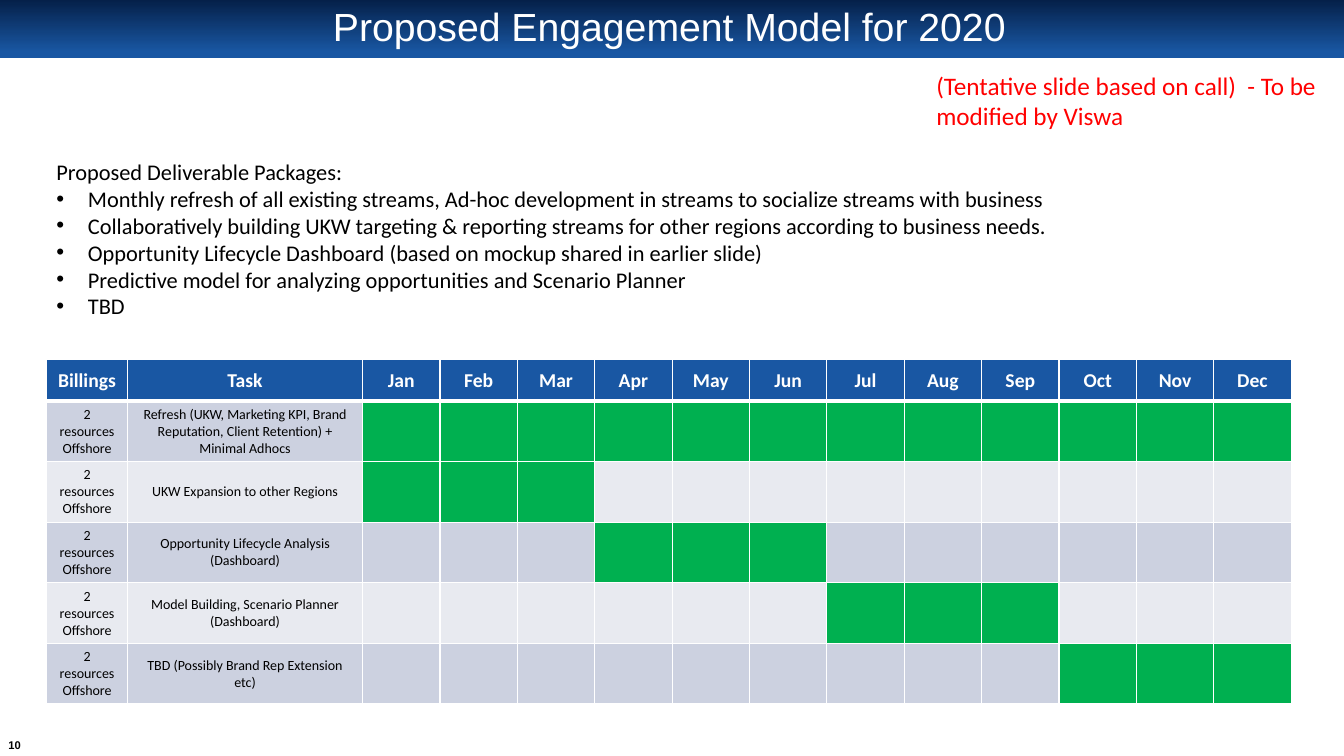
from dataclasses import dataclass

from lxml.etree import SubElement
from pptx import Presentation
from pptx.dml.color import RGBColor
from pptx.enum.shapes import MSO_SHAPE
from pptx.enum.text import MSO_ANCHOR, MSO_AUTO_SIZE, PP_ALIGN
from pptx.oxml import parse_xml
from pptx.oxml.ns import nsdecls, qn
from pptx.shapes.base import BaseShape
from pptx.slide import Slide
from pptx.table import _Cell as Cell
from pptx.text.text import _Paragraph as Paragraph
from pptx.util import Pt

WHITE = RGBColor(0xFF, 0xFF, 0xFF)
BLACK = RGBColor(0x00, 0x00, 0x00)
RED = RGBColor(0xFF, 0x00, 0x00)
NAVY = RGBColor(0x05, 0x20, 0x49)
BLUE = RGBColor(0x19, 0x57, 0xA3)
GREEN = RGBColor(0x00, 0xB0, 0x50)
DARK_BAND = RGBColor(0xCC, 0xD1, 0xE0)
LIGHT_BAND = RGBColor(0xE8, 0xEA, 0xF0)

SLIDE_WIDTH, SLIDE_HEIGHT = 960, 540
BULLET_INDENT = 22.5
BILLINGS_WIDTH, TASK_WIDTH, MONTH_WIDTH = 57.6, 168, 55.3
HEADER_HEIGHT, TASK_HEIGHT = 29.5, 43.2
MONTHS = ["Jan", "Feb", "Mar", "Apr", "May", "Jun",
          "Jul", "Aug", "Sep", "Oct", "Nov", "Dec"]
BILLING = "2 resources Offshore"


@dataclass(frozen=True)
class Box:
    left: float
    top: float
    width: float
    height: float


@dataclass(frozen=True)
class Task:
    name: str
    first_month: int
    last_month: int


PACKAGES = [
    "Monthly refresh of all existing streams, Ad-hoc development in streams "
    "to socialize streams with business",
    "Collaboratively building UKW targeting & reporting streams for other "
    "regions according to business needs.",
    "Opportunity Lifecycle Dashboard (based on mockup shared in earlier slide)",
    "Predictive model for analyzing opportunities and Scenario Planner",
    "TBD",
]
TASKS = [
    Task("Refresh (UKW, Marketing KPI, Brand Reputation, Client Retention) "
         "+ Minimal Adhocs", 1, 12),
    Task("UKW Expansion to other Regions", 1, 3),
    Task("Opportunity Lifecycle Analysis (Dashboard)", 4, 6),
    Task("Model Building, Scenario Planner (Dashboard)", 7, 9),
    Task("TBD (Possibly Brand Rep Extension etc)", 10, 12),
]


def place(shape: BaseShape, box: Box) -> None:
    shape.left, shape.top = Pt(box.left), Pt(box.top)
    shape.width, shape.height = Pt(box.width), Pt(box.height)


def style(paragraph: Paragraph, size: float, color: RGBColor,
          font_name: str = "Calibri", bold: bool = False) -> None:
    font = paragraph.font
    font.name, font.size, font.bold = font_name, Pt(size), bold
    font.color.rgb = color


def add_banner(slide: Slide) -> None:
    banner = slide.shapes.add_shape(
        MSO_SHAPE.RECTANGLE, 0, 0, Pt(SLIDE_WIDTH), Pt(41.6))
    banner.shadow.inherit = False
    banner.line.fill.background()
    banner.fill.gradient()
    banner.fill.gradient_angle = 270
    for stop, position, color in zip(
            banner.fill.gradient_stops, (0, 0.9), (NAVY, BLUE)):
        stop.position = position
        stop.color.rgb = color
    # The placeholders were there first, so the banner moves behind them.
    slide.shapes._spTree.insert(2, banner._element)


def fill_title(slide: Slide) -> None:
    title = slide.shapes.title
    place(title, Box(47.5, 4.3, 861, 32.4))
    frame = title.text_frame
    frame.text = "Proposed Engagement Model for 2020"
    frame.auto_size = MSO_AUTO_SIZE.NONE
    frame.vertical_anchor = MSO_ANCHOR.MIDDLE
    heading = frame.paragraphs[0]
    heading.alignment = PP_ALIGN.CENTER
    heading.line_spacing = 0.9
    style(heading, 28, WHITE, "Arial")


def set_bullet(paragraph: Paragraph, char: str | None) -> None:
    properties = paragraph._p.get_or_add_pPr()
    indent = Pt(BULLET_INDENT) if char else 0
    properties.set("marL", str(indent))
    properties.set("indent", str(-indent))
    if char:
        SubElement(properties, qn("a:buFont")).set("typeface", "Arial")
        SubElement(properties, qn("a:buChar")).set("char", char)
    else:
        SubElement(properties, qn("a:buNone"))


def fill_packages(slide: Slide) -> None:
    body = slide.placeholders[1]
    place(body, Box(33.1, 109.4, 889, 124))
    frame = body.text_frame
    frame.text = "\n".join(["Proposed Deliverable Packages:", *PACKAGES])
    frame.auto_size = MSO_AUTO_SIZE.NONE
    for index, paragraph in enumerate(frame.paragraphs):
        paragraph.space_before = Pt(0)
        set_bullet(paragraph, "•" if index else None)
        style(paragraph, 16, BLACK)


def add_note(slide: Slide) -> None:
    note = slide.shapes.add_textbox(Pt(661.7), Pt(46.8), Pt(298), Pt(51))
    frame = note.text_frame
    frame.word_wrap = True
    frame.text = "(Tentative slide based on call)  - To be modified by Viswa"
    style(frame.paragraphs[0], 18, RED)


def add_page_number(slide: Slide) -> None:
    number = slide.shapes.add_textbox(Pt(1.4), Pt(525.6), Pt(18), Pt(13.7))
    frame = number.text_frame
    frame.margin_left = frame.margin_right = 0
    frame.margin_top = frame.margin_bottom = 0
    frame.vertical_anchor = MSO_ANCHOR.MIDDLE
    frame.text = "10"
    frame.paragraphs[0].alignment = PP_ALIGN.CENTER
    style(frame.paragraphs[0], 8, BLACK, "Arial", bold=True)


def set_borders(cell: Cell, top: float, bottom: float) -> None:
    widths = {"lnL": 1, "lnR": 1, "lnT": top, "lnB": bottom}
    properties = cell._tc.get_or_add_tcPr()
    for index, (side, width) in enumerate(widths.items()):
        properties.insert(index, parse_xml(
            f'<a:{side} {nsdecls("a")} w="{Pt(width)}"><a:solidFill>'
            f'<a:srgbClr val="{WHITE}"/></a:solidFill></a:{side}>'))


def fill_cell(cell: Cell, fill: RGBColor, text: str, size: float,
              color: RGBColor, bold: bool) -> None:
    cell.fill.solid()
    cell.fill.fore_color.rgb = fill
    cell.vertical_anchor = MSO_ANCHOR.MIDDLE
    cell.text = text
    label = cell.text_frame.paragraphs[0]
    label.alignment = PP_ALIGN.CENTER
    style(label, size, color, bold=bold)


def add_schedule(slide: Slide) -> None:
    widths = [BILLINGS_WIDTH, TASK_WIDTH] + [MONTH_WIDTH] * len(MONTHS)
    heights = [HEADER_HEIGHT] + [TASK_HEIGHT] * len(TASKS)
    schedule = slide.shapes.add_table(
        len(heights), len(widths), Pt(33.4), Pt(257),
        Pt(sum(widths)), Pt(sum(heights))).table
    for column, width in zip(schedule.columns, widths):
        column.width = Pt(width)
    for row, height in zip(schedule.rows, heights):
        row.height = Pt(height)

    for column, heading in enumerate(["Billings", "Task", *MONTHS]):
        cell = schedule.cell(0, column)
        fill_cell(cell, BLUE, heading, 14, WHITE, bold=True)
        set_borders(cell, top=1, bottom=3)
    for row, task in enumerate(TASKS, start=1):
        band = DARK_BAND if row % 2 else LIGHT_BAND
        texts = [BILLING, task.name] + [""] * len(MONTHS)
        for column, text in enumerate(texts):
            month = column - 1
            active = task.first_month <= month <= task.last_month
            cell = schedule.cell(row, column)
            fill_cell(cell, GREEN if active and column > 1 else band,
                      text, 10, BLACK, bold=False)
            set_borders(cell, top=3 if row == 1 else 1, bottom=1)


def main() -> None:
    deck = Presentation()
    deck.slide_width, deck.slide_height = Pt(SLIDE_WIDTH), Pt(SLIDE_HEIGHT)
    slide = deck.slides.add_slide(deck.slide_layouts[1])
    add_banner(slide)
    fill_title(slide)
    add_page_number(slide)
    add_schedule(slide)
    fill_packages(slide)
    add_note(slide)
    deck.save("out.pptx")


if __name__ == "__main__":
    main()
